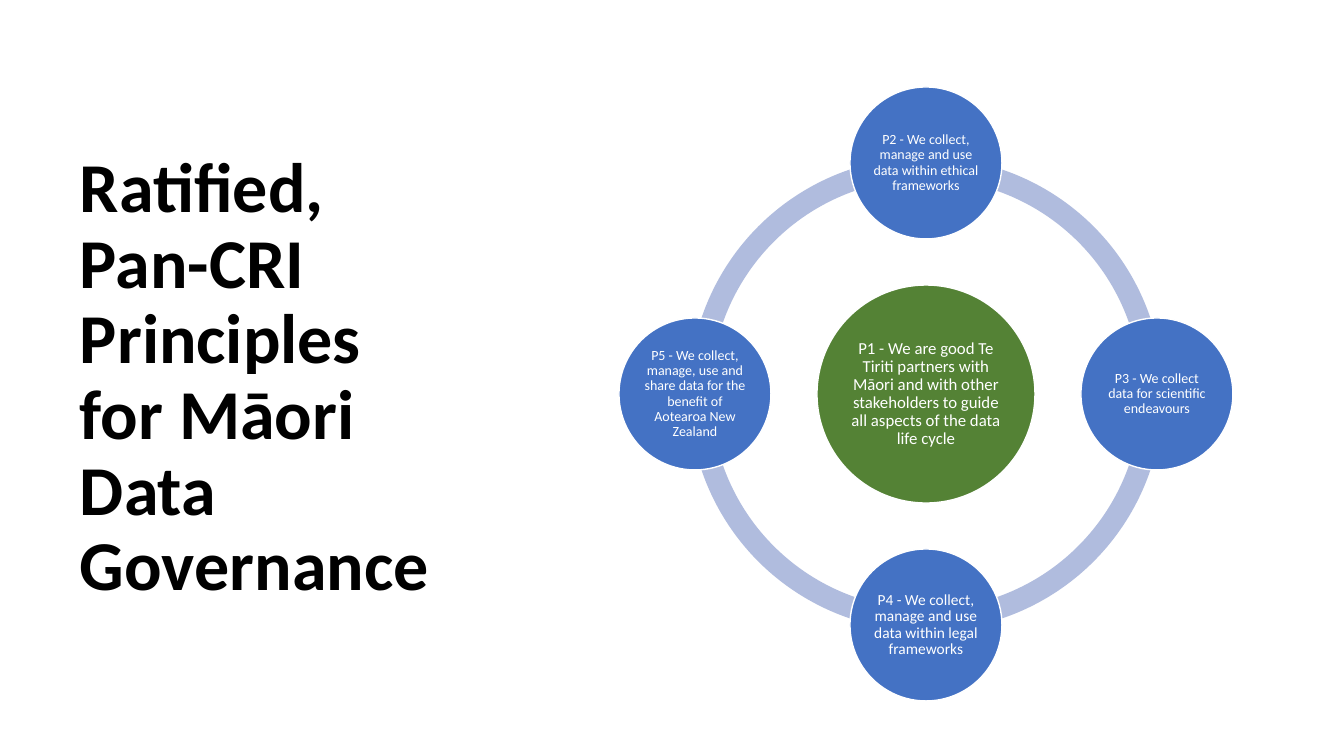
"""Build the slide of Pan-CRI principles for Māori data governance."""
import math
from pptx import Presentation, util as u
from pptx.dml.color import RGBColor
from pptx.enum import shapes, text

THEME = {
    "font": "Calibri",
    "ink": "000000", "paper": "FFFFFF",
    "hub": "548235", "principle": "4472C4", "ring": "B0BCDE",
    "title_size": 50, "hub_size": 12, "principle_size": 10, "legal_size": 11,
}
WIDTH, HEIGHT = 1344, 756
CENTRE_X, CENTRE_Y = 926, 394
ORBIT, RING, HUB, PRINCIPLE = 231, 474, 218, 152


def px(length):
    return u.Emu(round(length * 12192000 / WIDTH))


def write(frame, words, size, color, align, bold=False):
    frame.word_wrap = True
    frame.vertical_anchor = text.MSO_ANCHOR.MIDDLE
    paragraph = frame.paragraphs[0]
    paragraph.alignment = align
    paragraph.line_spacing = 0.9
    run = paragraph.add_run()
    run.text = words
    for key, value in {"name": THEME["font"], "size": u.Pt(size), "bold": bold}.items():
        setattr(run.font, key, value)
    run.font.color.rgb = RGBColor.from_string(color)


deck = Presentation()
deck.slide_width, deck.slide_height = px(WIDTH), px(HEIGHT)
slide = deck.slides.add_slide(deck.slide_layouts[6])

heading = slide.shapes.add_textbox(px(70), px(71), px(396), px(616))
write(heading.text_frame, "Ratified, Pan-CRI Principles for Māori Data Governance",
      THEME["title_size"], THEME["ink"], text.PP_ALIGN.LEFT, bold=True)

for start, end in [(108, 162), (54, 108), (0, 54), (162, 0)]:
    arc = slide.shapes.add_shape(
        shapes.MSO_SHAPE.BLOCK_ARC, px(CENTRE_X - RING / 2), px(CENTRE_Y - RING / 2),
        px(RING), px(RING))
    for index, value in enumerate((start, end, 0.046)):
        arc.adjustments[index] = value
    arc.shadow.inherit = False
    arc.fill.solid()
    arc.fill.fore_color.rgb = RGBColor.from_string(THEME["ring"])
    arc.line.fill.background()

small, legal = THEME["principle_size"], THEME["legal_size"]
principles = [
    ("P2 - We collect, manage and use data within ethical frameworks", small, 1),
    ("P3 - We collect data for scientific endeavours", small, 1),
    ("P4 - We collect, manage and use data within legal frameworks", legal, 2),
    ("P5 - We collect, manage, use and share data for the benefit of Aotearoa New Zealand",
     small, 1),
]
circles = [(
    "P1 - We are good Te Tiriti partners with Māori and with other stakeholders "
    "to guide all aspects of the data life cycle",
    THEME["hub_size"], 2, CENTRE_X, CENTRE_Y, HUB, THEME["hub"])]
for place, (words, size, inset) in enumerate(principles):
    angle = place * math.pi / 2
    circles.append((words, size, inset, CENTRE_X + ORBIT * math.sin(angle),
                    CENTRE_Y - ORBIT * math.cos(angle), PRINCIPLE, THEME["principle"]))

for words, size, inset, x, y, diameter, color in circles:
    circle = slide.shapes.add_shape(
        shapes.MSO_SHAPE.OVAL, px(x - diameter / 2), px(y - diameter / 2),
        px(diameter), px(diameter))
    circle.shadow.inherit = False
    circle.fill.solid()
    circle.fill.fore_color.rgb = RGBColor.from_string(color)
    circle.line.color.rgb = RGBColor.from_string(THEME["paper"])
    circle.line.width = u.Pt(1)
    for side in ("left", "top", "right", "bottom"):
        setattr(circle.text_frame, f"margin_{side}", px(inset))
    write(circle.text_frame, words, size, THEME["paper"], text.PP_ALIGN.CENTER)

deck.save("out.pptx")
